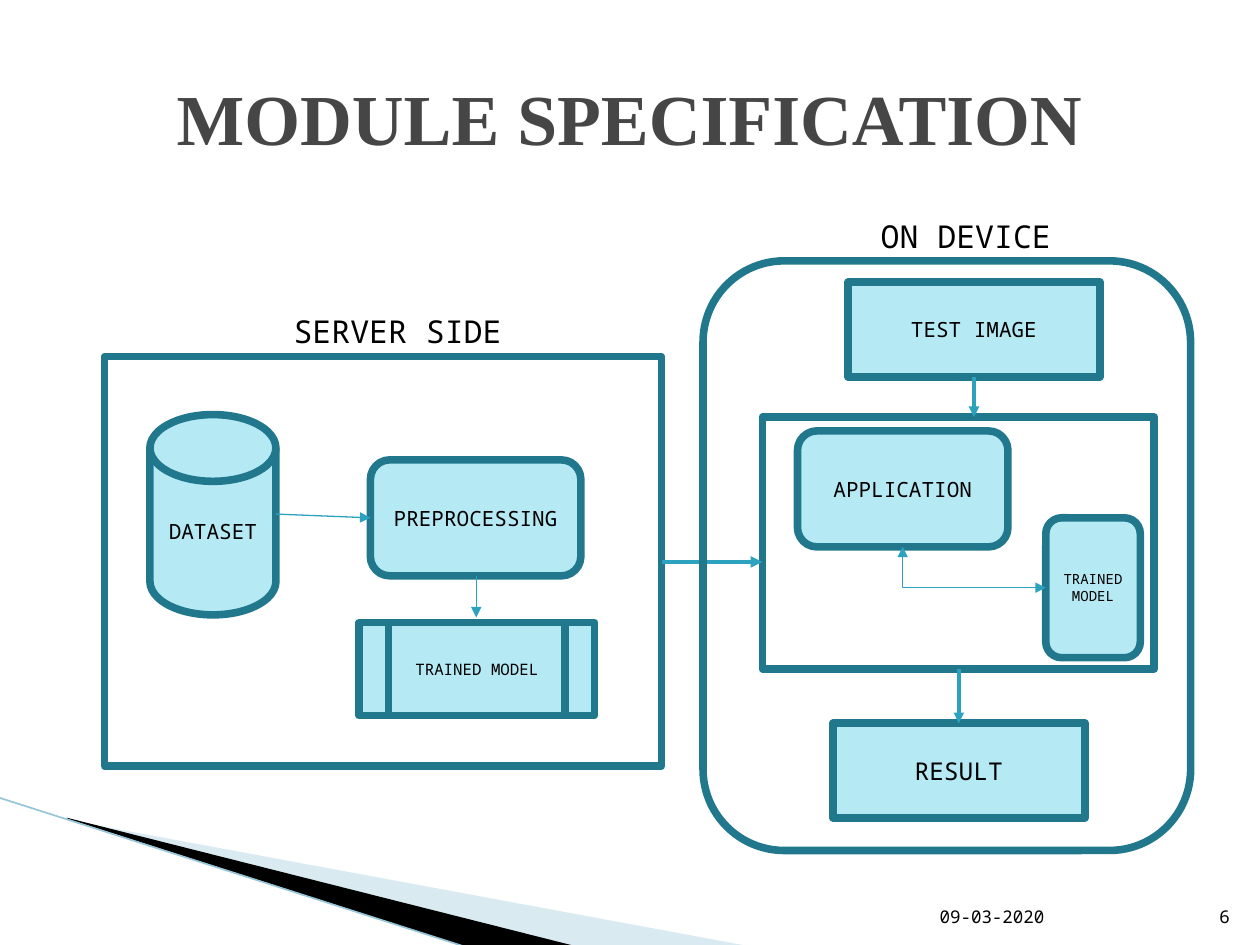
from lxml import etree
from pptx import Presentation
from pptx import util as u
from pptx.dml.color import RGBColor
from pptx.enum import shapes as s, text as t
from pptx.oxml.ns import qn

MONO = "Noto Sans Mono"
PALE, TEAL, BLUE, BLACK = "B5E9F4", "21788D", "2DA2BF", "000000"
KIND = s.MSO_SHAPE
ALIGN = t.PP_ALIGN
ANCHOR = t.MSO_ANCHOR


def color(value):
    """Turn a hex string into a colour."""
    return RGBColor.from_string(value)


def write(frame, words, size, align, anchor, font=MONO, ink=BLACK, bold=False):
    """Put one formatted paragraph into a text frame."""
    frame.word_wrap = True
    frame.vertical_anchor = anchor
    frame.text = words
    para = frame.paragraphs[0]
    para.alignment = align
    para.font.name = font
    para.font.size = u.Pt(size)
    para.font.bold = bold
    para.font.color.rgb = color(ink)


def label(slide, box, words, size, align=ALIGN.CENTER, anchor=ANCHOR.TOP):
    """Add a text box."""
    frame = slide.shapes.add_textbox(*map(u.Inches, box)).text_frame
    write(frame, words, size, align, anchor)


def block(slide, kind, box, words="", size=12):
    """Add a filled shape with words, or an empty frame without them."""
    shape = slide.shapes.add_shape(kind, *map(u.Inches, box))
    shape.shadow.inherit = False
    shape.line.color.rgb = color(TEAL)
    shape.line.width = u.Pt(4.33)
    if words:
        shape.fill.solid()
        shape.fill.fore_color.rgb = color(PALE)
        write(shape.text_frame, words, size, ALIGN.CENTER, ANCHOR.MIDDLE)
    else:
        shape.fill.background()
    return shape


def link(slide, start, end, width, ink=BLUE, ends=("tailEnd",),
         kind=s.MSO_CONNECTOR.STRAIGHT):
    """Add a connector with triangles at the named ends."""
    line = slide.shapes.add_connector(kind, *map(u.Inches, (*start, *end)))
    line.line.color.rgb = color(ink)
    line.line.width = u.Pt(width)
    for name in ends:
        etree.SubElement(line.line._get_or_add_ln(), qn("a:" + name), type="triangle")
    etree.SubElement(line.element.spPr, qn("a:effectLst"))
    return line


def bend(slide, start, end):
    """Join the left of one shape to the bottom of another by one corner."""
    line = link(slide, (0, 0), (1, 1), 0.75, ends=("headEnd", "tailEnd"),
                kind=s.MSO_CONNECTOR.ELBOW)
    line.begin_connect(start, 1)
    line.end_connect(end, 2)
    line.element.spPr.find(qn("a:prstGeom")).set("prst", "bentConnector2")


def wedge(slide, points, ink, alpha=100):
    """Add a filled outline without a border."""
    first, *rest = [tuple(map(u.Inches, point)) for point in points]
    path = slide.shapes.build_freeform(*first)
    path.add_line_segments(rest)
    shape = path.convert_to_shape()
    shape.shadow.inherit = False
    shape.line.fill.background()
    shape.fill.solid()
    shape.fill.fore_color.rgb = color(ink)
    if alpha < 100:
        tone = shape.element.spPr.find(".//" + qn("a:srgbClr"))
        etree.SubElement(tone, qn("a:alpha"), val=str(alpha * 1000))


def decor(slide):
    """Draw the corner sweep, date and page number."""
    wedge(slide, [(0.55, 6.51), (5.95, 7.51), (4.56, 7.51), (0.55, 6.5)], "A0CBDC", 40)
    wedge(slide, [(0.53, 6.49), (4.57, 7.51), (3.72, 7.52), (0.54, 6.5)], BLACK)
    link(slide, (-0.01, 6.33), (3.71, 7.52), 0.95, "97C5D8", ())
    label(slide, (7.36, 7.01, 2.1, 0.4), "09-03-2020", 10, ALIGN.LEFT, ANCHOR.BOTTOM)
    label(slide, (9.46, 7.01, 0.4, 0.4), "6", 10, ALIGN.RIGHT, ANCHOR.BOTTOM)


def head(slide, words):
    """Place and format the title."""
    title = slide.shapes.title
    title.left, title.top, title.width, title.height = map(u.Inches, (0.5, 0.3, 9, 1.25))
    write(title.text_frame, words, 41, ALIGN.CENTER, ANCHOR.MIDDLE,
          "Times New Roman", "464646", True)


def server(slide):
    """Draw the server side."""
    block(slide, KIND.RECTANGLE, (0.83, 2.83, 4.42, 3.25))
    block(slide, KIND.FLOWCHART_MAGNETIC_DISK, (1.19, 3.29, 1, 1.59), "DATASET")
    block(slide, KIND.ROUNDED_RECTANGLE, (2.94, 3.65, 1.67, 0.92), "PREPROCESSING")
    block(slide, KIND.FLOWCHART_PREDEFINED_PROCESS, (2.85, 4.94, 1.87, 0.74),
          "TRAINED MODEL", 9)
    link(slide, (2.19, 4.08), (2.94, 4.11), 0.75)
    link(slide, (3.78, 4.57), (3.78, 4.9), 0.75)
    label(slide, (1.07, 2.43, 4.17, 0.4), "SERVER SIDE", 18)


def device(slide):
    """Draw the device side and the arrow that leads to it."""
    block(slide, KIND.RECTANGLE, (6.05, 3.31, 3.11, 2))
    model = block(slide, KIND.ROUNDED_RECTANGLE, (8.3, 4.11, 0.75, 1.11),
                  "TRAINED MODEL", 8)
    app = block(slide, KIND.ROUNDED_RECTANGLE, (6.33, 3.42, 1.67, 0.92), "APPLICATION")
    bend(slide, model, app)
    link(slide, (5.25, 4.46), (6.05, 4.46), 2.25)
    block(slide, KIND.FLOWCHART_PROCESS, (6.61, 5.74, 2, 0.75), "RESULT", 14)
    link(slide, (7.61, 5.31), (7.61, 5.74), 2)
    block(slide, KIND.FLOWCHART_PROCESS, (6.73, 2.24, 2, 0.75), "TEST IMAGE")
    link(slide, (7.73, 2.99), (7.73, 3.31), 2)
    block(slide, KIND.ROUNDED_RECTANGLE, (5.58, 2.07, 3.87, 4.68))
    label(slide, (5.58, 1.67, 4.17, 0.4), "ON DEVICE", 18)


def main():
    """Build the slide and save it."""
    deck = Presentation()
    deck.slide_width, deck.slide_height = u.Inches(10), u.Inches(7.5)
    slide = deck.slides.add_slide(deck.slide_layouts[5])
    decor(slide)
    head(slide, "MODULE SPECIFICATION")
    server(slide)
    device(slide)
    deck.save("out.pptx")


if __name__ == "__main__":
    main()
